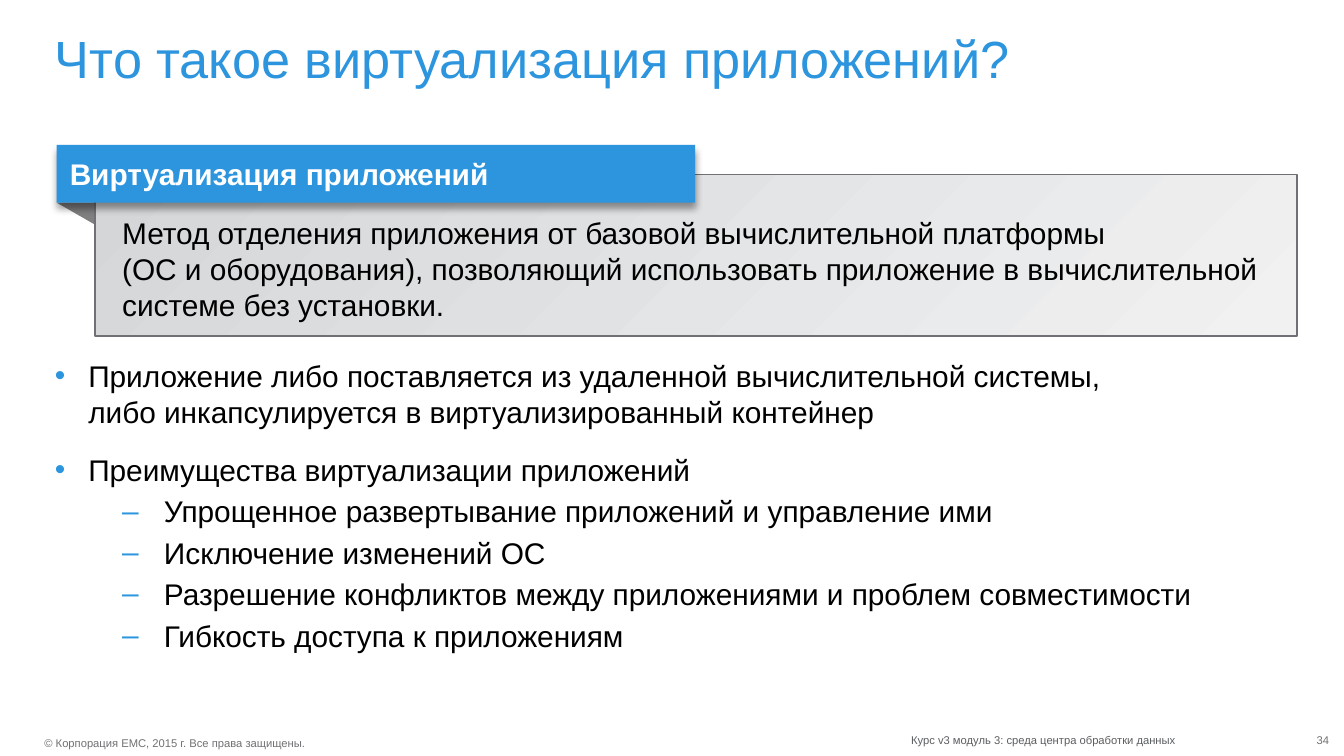
from dataclasses import dataclass

from lxml.etree import SubElement
from pptx import Presentation
from pptx.dml.color import RGBColor
from pptx.enum.shapes import MSO_SHAPE
from pptx.enum.text import MSO_ANCHOR, PP_ALIGN
from pptx.oxml.ns import qn
from pptx.util import Cm, Pt


@dataclass(frozen=True)
class Theme:
    """Colours, font and type sizes of the slide."""
    font: str = "Arial"
    blue: str = "2C95DD"
    black: str = "000000"
    white: str = "FFFFFF"
    fold: str = "808080"
    edge: str = "717074"
    note: str = "5B5E61"
    light: tuple = ("D4D6D8", "F1F1F2")
    title: int = 28
    text: int = 16
    foot: int = 6


@dataclass(frozen=True)
class Box:
    """A place on the slide in centimetres."""
    left: float
    top: float
    width: float
    height: float

    def place(self) -> list:
        """Return the place as lengths."""
        return [Cm(v) for v in (self.left, self.top, self.width, self.height)]


@dataclass(frozen=True)
class Level:
    """The look of one bullet level."""
    mark: str
    left: float
    hang: float
    gap: int


@dataclass(frozen=True)
class Foot:
    """One small text at the bottom."""
    text: str
    box: Box
    color: str
    align: PP_ALIGN = PP_ALIGN.LEFT


THEME = Theme()
MAIN = Level("•", 0.63, 0.63, 12)
SUB = Level("–", 2.06, 0.79, 3)
POINTS = [
    (MAIN, "Приложение либо поставляется из удаленной вычислительной системы,\n"
           "либо инкапсулируется в виртуализированный контейнер"),
    (MAIN, "Преимущества виртуализации приложений"),
    (SUB, "Упрощенное развертывание приложений и управление ими"),
    (SUB, "Исключение изменений ОС"),
    (SUB, "Разрешение конфликтов между приложениями и проблем совместимости"),
    (SUB, "Гибкость доступа к приложениям"),
]
FEET = [
    Foot("© Корпорация EMC, 2015\u00a0г. Все права защищены.",
         Box(0.84, 13.92, 5, 0.25), THEME.edge),
    Foot("Курс v3 модуль 3: среда центра обработки данных",
         Box(17.22, 13.87, 5, 0.25), THEME.note),
    Foot("34", Box(24.33, 13.87, 0.79, 0.25), THEME.edge, PP_ALIGN.RIGHT),
]


def rgb(color: str) -> RGBColor:
    """Return a colour object."""
    return RGBColor.from_string(color)


def write(par, text: str, size: int, color: str, bold: bool = False) -> None:
    """Fill a paragraph and set its font."""
    par.text = text
    par.font.name = THEME.font
    par.font.size = Pt(size)
    par.font.bold = bold
    par.font.color.rgb = rgb(color)


def inset(frame, left=0.0, top=0.0, right=0.0, bottom=0.0) -> None:
    """Set the margins of a text frame in centimetres."""
    frame.margin_left, frame.margin_top = Cm(left), Cm(top)
    frame.margin_right, frame.margin_bottom = Cm(right), Cm(bottom)


def frame(slide, box: Box, wrap: bool = True):
    """Add a text box without margins and return its frame."""
    area = slide.shapes.add_textbox(*box.place()).text_frame
    area.word_wrap = wrap
    inset(area)
    return area


def bullet(par, level: Level) -> None:
    """Give a paragraph its indent and mark."""
    props = par._p.get_or_add_pPr()
    props.set("marL", str(Cm(level.left)))
    props.set("indent", str(-Cm(level.hang)))
    tint = SubElement(props, qn("a:buClr"))
    SubElement(tint, qn("a:srgbClr"), val=THEME.blue)
    SubElement(props, qn("a:buFont"), typeface=THEME.font)
    SubElement(props, qn("a:buChar"), char=level.mark)


def panel(slide, box: Box):
    """Add a plain rectangle with left-aligned text."""
    shape = slide.shapes.add_shape(MSO_SHAPE.RECTANGLE, *box.place())
    shape.shadow.inherit = False
    shape.text_frame.word_wrap = True
    shape.text_frame.paragraphs[0].alignment = PP_ALIGN.LEFT
    return shape


def shade(shape) -> None:
    """Add a soft shadow below a shape."""
    effects = shape._element.spPr.find(qn("a:effectLst"))
    drop = SubElement(effects, qn("a:outerShdw"), blurRad=str(Pt(4)),
                      dist=str(Pt(3)), dir="5400000", rotWithShape="0")
    tint = SubElement(drop, qn("a:srgbClr"), val=THEME.black)
    SubElement(tint, qn("a:alpha"), val="40000")


def define(slide) -> None:
    """Draw the definition panel, its fold and its banner."""
    head, body = Box(1.07, 2.74, 12.07, 1.09), Box(1.8, 3.3, 22.71, 3.05)
    base = head.top + head.height
    pen = slide.shapes.build_freeform(Cm(head.left), Cm(base))
    pen.add_line_segments([(Cm(body.left), Cm(base)),
                           (Cm(body.left), Cm(base + 0.42))])
    fold = pen.convert_to_shape()
    fold.shadow.inherit = False
    fold.fill.solid()
    fold.fill.fore_color.rgb = rgb(THEME.fold)
    fold.line.fill.background()

    card = panel(slide, body)
    card.fill.gradient()
    card.fill.gradient_angle = 315
    for stop, color in zip(card.fill.gradient_stops, THEME.light):
        stop.color.rgb = rgb(color)
    card.line.color.rgb = rgb(THEME.edge)
    card.line.width = Pt(1)
    inset(card.text_frame, 0.51, 0.76, 0.51, 0.13)
    card.text_frame.vertical_anchor = MSO_ANCHOR.TOP
    write(card.text_frame.paragraphs[0],
          "Метод отделения приложения от базовой вычислительной платформы\n"
          "(ОС и оборудования), позволяющий использовать приложение "
          "в вычислительной системе без установки.", THEME.text, THEME.black)

    flag = panel(slide, head)
    flag.fill.solid()
    flag.fill.fore_color.rgb = rgb(THEME.blue)
    flag.line.fill.background()
    shade(flag)
    flag.text_frame.vertical_anchor = MSO_ANCHOR.MIDDLE
    write(flag.text_frame.paragraphs[0], "Виртуализация приложений",
          THEME.text, THEME.white, True)


def main() -> None:
    """Build and save the slide."""
    deck = Presentation()
    deck.slide_width, deck.slide_height = Cm(25.4), Cm(14.29)
    slide = deck.slides.add_slide(deck.slide_layouts[6])
    for foot in FEET:
        par = frame(slide, foot.box, False).paragraphs[0]
        par.alignment = foot.align
        write(par, foot.text, THEME.foot, foot.color)
    title = frame(slide, Box(1.04, 0.64, 23.5, 1.27)).paragraphs[0]
    title.line_spacing = 0.9
    write(title, "Что такое виртуализация приложений?", THEME.title, THEME.blue)
    body = frame(slide, Box(1.04, 6.76, 23.5, 5.54))
    for i, (level, text) in enumerate(POINTS):
        par = body.add_paragraph() if i else body.paragraphs[0]
        par.space_before = Pt(level.gap if i else 0)
        bullet(par, level)
        write(par, text, THEME.text, THEME.black)
    define(slide)
    deck.save("out.pptx")


if __name__ == "__main__":
    main()
